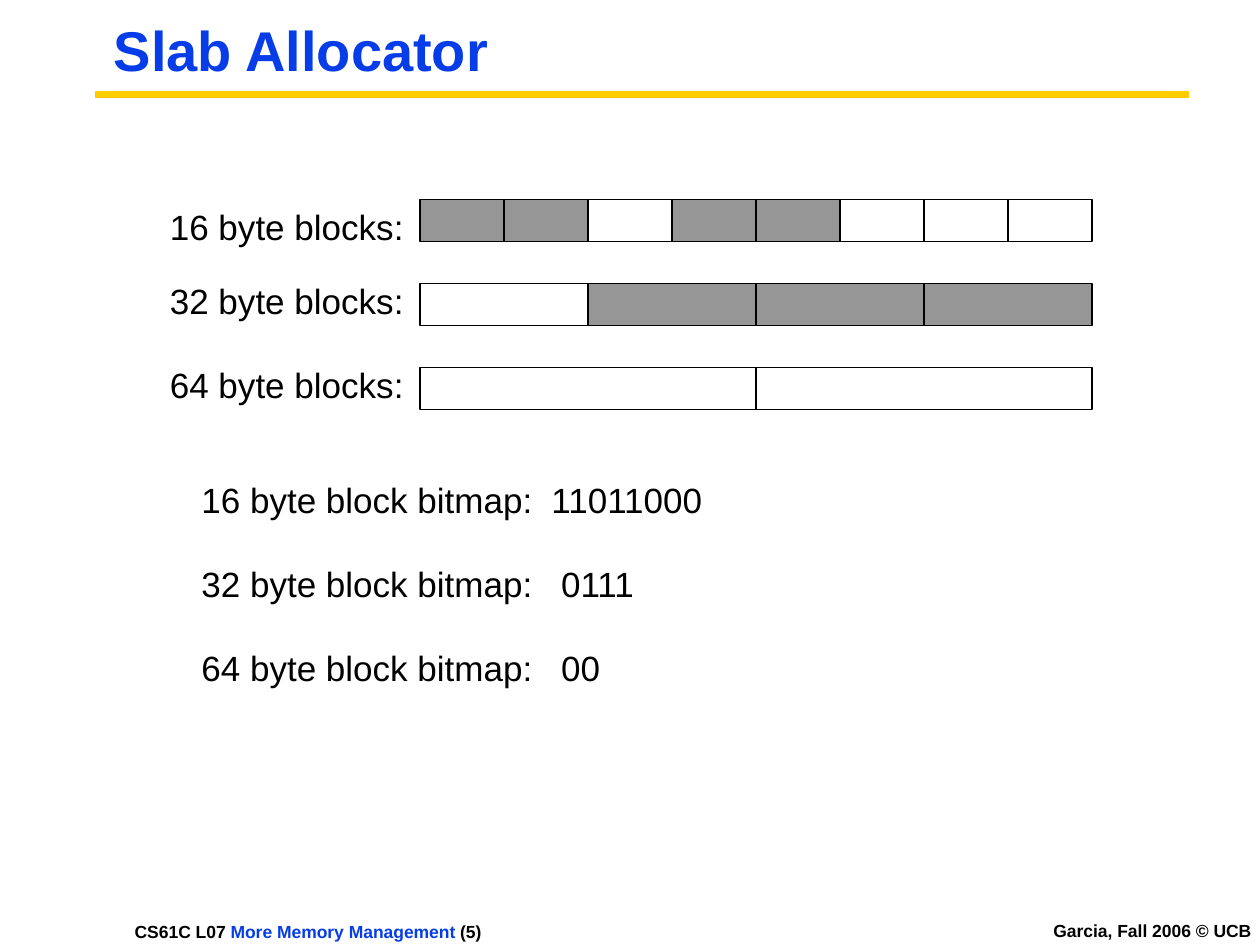
from dataclasses import dataclass

from lxml.etree import SubElement
from pptx import Presentation
from pptx.dml.color import RGBColor
from pptx.enum.shapes import MSO_CONNECTOR, MSO_SHAPE
from pptx.enum.text import MSO_ANCHOR, MSO_AUTO_SIZE, PP_ALIGN
from pptx.oxml.ns import qn
from pptx.util import Pt

COLORS = {"ink": "000000", "blue": "063DE8", "gold": "FFCC00", "used": "969696"}
PLAIN = {"name": "Arial", "size": Pt(20), "bold": False}
FOOTER = {"name": "Arial", "size": Pt(10), "bold": True}
HEADING = {"name": "Arial", "size": Pt(32), "bold": True}
WIDE_INSETS = (7.2, 3.6)
TIGHT_INSETS = (5, 2.2)
STRIP_LEFT, STRIP_TOP, STRIP_WIDTH, STRIP_HEIGHT = 240, 114, 384, 24
ROW_STEP = 48
BITMAP_TOP = 270


@dataclass(frozen=True)
class TextSpec:
    left: float
    top: float
    width: float
    height: float
    spans: tuple[tuple[str, str], ...]
    font: dict
    insets: tuple[float, float] = WIDE_INSETS
    align: PP_ALIGN = PP_ALIGN.LEFT
    wrap: bool = True
    spacing: float = 1.0
    tab: float | None = None


@dataclass(frozen=True)
class BlockRow:
    size: int
    bitmap: str
    label_top: float
    bitmap_width: float
    bitmap_tab: float


ROWS = (
    BlockRow(16, "11011000", 114, 306, 200),
    BlockRow(32, "0111", 156, 267, 205.5),
    BlockRow(64, "00", 204, 245, 205.5),
)


def color(name: str) -> RGBColor:
    return RGBColor.from_string(COLORS[name])


def set_all(target, values: dict) -> None:
    for name, value in values.items():
        setattr(target, name, value)


def draw_text(page, text: TextSpec) -> None:
    box = page.shapes.add_textbox(
        Pt(text.left), Pt(text.top), Pt(text.width), Pt(text.height)
    )
    side, edge = map(Pt, text.insets)
    set_all(box.text_frame, {
        "margin_left": side, "margin_right": side,
        "margin_top": edge, "margin_bottom": edge,
        "auto_size": MSO_AUTO_SIZE.SHAPE_TO_FIT_TEXT,
        "word_wrap": text.wrap, "vertical_anchor": MSO_ANCHOR.TOP,
    })
    para = box.text_frame.paragraphs[0]
    set_all(para, {"alignment": text.align, "line_spacing": text.spacing})
    if text.tab is not None:
        stops = SubElement(para._p.get_or_add_pPr(), qn("a:tabLst"))
        SubElement(stops, qn("a:tab"), pos=str(Pt(text.tab)), algn="l")
    for words, tint in text.spans:
        span = para.add_run()
        span.text = words
        set_all(span.font, text.font)
        span.font.color.rgb = color(tint)


def draw_rule(page, left: float, right: float, top: float) -> None:
    rule = page.shapes.add_connector(
        MSO_CONNECTOR.STRAIGHT, Pt(left), Pt(top), Pt(right), Pt(top)
    )
    rule.line.color.rgb = color("gold")
    rule.line.width = Pt(4.5)
    SubElement(rule._element.spPr, qn("a:effectLst"))


def draw_strip(page, top: float, bitmap: str) -> None:
    width = STRIP_WIDTH / len(bitmap)
    for index, bit in enumerate(bitmap):
        block = page.shapes.add_shape(
            MSO_SHAPE.RECTANGLE, Pt(STRIP_LEFT + index * width), Pt(top),
            Pt(width), Pt(STRIP_HEIGHT),
        )
        block.shadow.inherit = False
        if bit == "1":
            block.fill.solid()
            block.fill.fore_color.rgb = color("used")
        else:
            block.fill.background()
        block.line.color.rgb = color("ink")
        block.line.width = Pt(1)


def draw_row(page, index: int, row: BlockRow) -> None:
    draw_strip(page, STRIP_TOP + index * ROW_STEP, row.bitmap)
    label = ((f"{row.size} byte blocks:", "ink"),)
    draw_text(page, TextSpec(90, row.label_top, 150, 31.5, label, PLAIN))
    bitmap = ((f"{row.size} byte block bitmap:\t{row.bitmap}", "ink"),)
    draw_text(page, TextSpec(
        108, BITMAP_TOP + index * ROW_STEP, row.bitmap_width, 31.5, bitmap, PLAIN,
        tab=row.bitmap_tab,
    ))


def main() -> None:
    """Build the slab allocator slide."""
    deck = Presentation()
    set_all(deck, {"slide_width": Pt(720), "slide_height": Pt(540)})
    page = deck.slides.add_slide(deck.slide_layouts[6])
    course = (
        ("CS61C L07 ", "ink"), ("More Memory Management", "blue"), (" (5)", "ink")
    )
    draw_text(page, TextSpec(72, 524, 318, 16, course, FOOTER, TIGHT_INSETS))
    draw_text(page, TextSpec(
        594, 523.5, 126, 16, (("Garcia, Fall 2006 © UCB", "ink"),), FOOTER,
        TIGHT_INSETS, PP_ALIGN.RIGHT, wrap=False,
    ))
    draw_rule(page, 54, 679.5, 54)
    draw_text(page, TextSpec(
        60, 12, 225.5, 70.5, (("Slab Allocator", "blue"),), HEADING,
        TIGHT_INSETS, spacing=0.87,
    ))
    for index, row in enumerate(ROWS):
        draw_row(page, index, row)
    deck.save("out.pptx")


if __name__ == "__main__":
    main()
